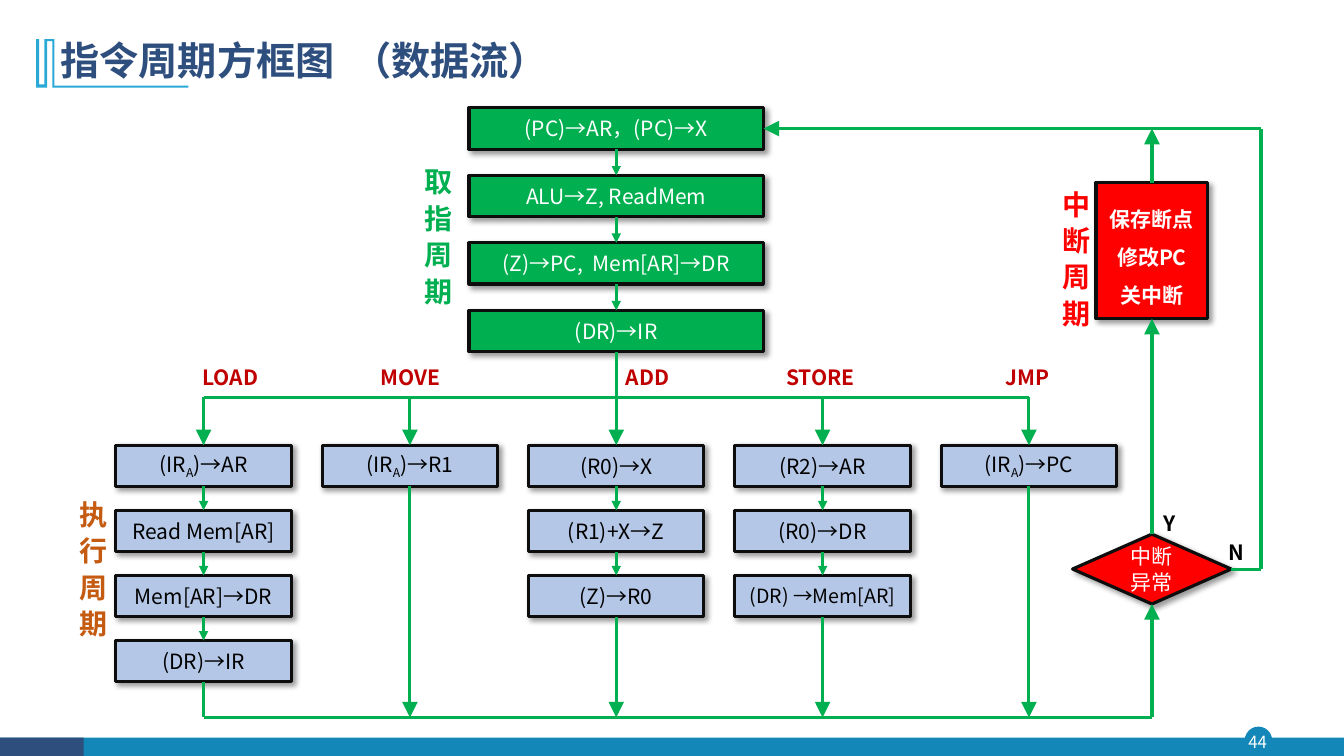
import pptx
import pptx.util
import pptx.dml.color
import pptx.enum.shapes
import pptx.enum.text
import pptx.oxml
import pptx.oxml.ns

Cm, Pt = pptx.util.Cm, pptx.util.Pt
Kind = pptx.enum.shapes.MSO_SHAPE
Side = pptx.enum.text.PP_ALIGN
Mid = pptx.enum.text.MSO_ANCHOR.MIDDLE
FACE = "Noto Sans CJK SC"
GREEN, BLUE, RED, WHITE, BLACK = "00B050", "B4C7E7", "FF0000", "FFFFFF", "000000"
TEAL, NAVY = "1387B7", "2E4E7E"
TOP, BASE, RIGHT = 0, 2, 3


def ink(code):
    return pptx.dml.color.RGBColor.from_string(code)


def add_xml(home, body):
    head, rest = body.split(" ", 1) if " " in body else (body[:-2], "/>")
    home.append(pptx.oxml.parse_xml(f"{head} {pptx.oxml.ns.nsdecls('a')} {rest}"))


def write(frame, lines, size, color, bold=False, side=Side.CENTER, lead=None, gap=None):
    """Fill a text frame; in each line, every second part between bars is a subscript."""
    for i, line in enumerate(lines):
        para = frame.paragraphs[0] if i == 0 else frame.add_paragraph()
        para.alignment = side
        if lead:
            para.line_spacing = lead
        for j, part in enumerate(line.split("|")):
            run = para.add_run()
            run.text = part
            font = run.font
            font.name, font.size, font.bold = FACE, Pt(size), bold
            font.color.rgb = ink(color)
            props = run._r.get_or_add_rPr()
            add_xml(props, f'<a:ea typeface="{FACE}"/>')
            if j % 2:
                props.set("baseline", "-25000")
            if gap:
                props.set("spc", str(gap * 100))


def block(page, kind, box, fill):
    shape = page.shapes.add_shape(kind, *map(Cm, box))
    shape.shadow.inherit = False
    shape.fill.solid()
    shape.fill.fore_color.rgb = ink(fill)
    shape.line.fill.background()
    return shape


def card(page, box, lines, fill, color, size=15, kind=Kind.RECTANGLE, **style):
    """Add an outlined box with a soft shadow and centred text."""
    shape = block(page, kind, box, fill)
    shape.line.color.rgb = ink("0D0D0D")
    shape.line.width = Pt(2.25)
    effects = shape._element.spPr.find(pptx.oxml.ns.qn("a:effectLst"))
    add_xml(effects, '<a:outerShdw blurRad="50800" dist="38100" dir="2700000" algn="tl" '
            'rotWithShape="0"><a:srgbClr val="000000"><a:alpha val="40000"/>'
            '</a:srgbClr></a:outerShdw>')
    shape.text_frame.vertical_anchor = Mid
    write(shape.text_frame, lines, size, color, **style)
    return shape


def label(page, box, text, color):
    frame = page.shapes.add_textbox(*map(Cm, box)).text_frame
    frame.word_wrap = True
    write(frame, [text], 15, color, bold=True, side=Side.LEFT)


def phase(page, x, y, text, color):
    """Add the upright name of a cycle."""
    frame = page.shapes.add_textbox(Cm(x), Cm(y), Cm(1.37), Cm(3.96)).text_frame
    frame.word_wrap = False
    frame._txBody.bodyPr.set("vert", "eaVert")
    write(frame, [text], 20, color, bold=True, side=Side.LEFT, gap=6)


def wire(page, start, end, head=None):
    """Draw a line between two ends, each an (x, y) point or a (shape, site) pair."""
    spots = [None if hasattr(a, "shape_id") else (Cm(a), Cm(b)) for a, b in (start, end)]
    first, last = (spot or (0, 0) for spot in spots)
    line = page.shapes.add_connector(
        pptx.enum.shapes.MSO_CONNECTOR.STRAIGHT, *first, *last)
    if not spots[0]:
        line.begin_connect(*start)
    if not spots[1]:
        line.end_connect(*end)
    line.line.color.rgb = ink(GREEN)
    line.line.width = Pt(2.25)
    if head:
        add_xml(line.line._get_or_add_ln(),
                f'<a:tailEnd type="triangle" w="{head}" len="{head}"/>')
    add_xml(line._element.spPr, "<a:effectLst/>")


def stack(page, box, step, texts, fill, color):
    """Pile cards downward from the first box and join them with arrows."""
    x, y, w, h = box
    cards = []
    for i, text in enumerate(texts):
        size = 14 if text == "(DR) →Mem[AR]" else 15
        cards.append(card(page, (x, y + i * step, w, h), [text], fill, color, size))
    for above, below in zip(cards, cards[1:]):
        wire(page, (above, BASE), (below, TOP), "med")
    return cards


def footer(page, box):
    x, y, w, h = box
    block(page, Kind.OVAL, (x + 31.37, y - 0.28, 0.69, 0.69), TEAL)
    block(page, Kind.RECTANGLE, box, TEAL)
    block(page, Kind.RECTANGLE, (x, y, 2.11, h), NAVY)
    frame = page.shapes.add_textbox(
        Cm(x + 31.29), Cm(y - 0.28), Cm(0.81), Cm(0.79)).text_frame
    frame.margin_left = frame.margin_right = frame.margin_top = frame.margin_bottom = 0
    frame.vertical_anchor = Mid
    write(frame, ["44"], 12, WHITE)


def header(page, box):
    x, y, w, h = box
    marks = [(0.1, 0.28), (0.1, 1.45), (3.48, 1.45), (3.48, 1.5), (0.05, 1.5),
             (0.05, 0.33), (-0.08, 0.33), (-0.08, 1.5), (-0.36, 1.5), (-0.36, 0.28),
             (-0.28, 0.28), (-0.28, 1.42), (-0.15, 1.42), (-0.15, 0.28)]
    (first, *rest) = [(Cm(x + a), Cm(y + b)) for a, b in marks]
    pen = page.shapes.build_freeform(*first)
    pen.add_line_segments(rest, close=True)
    mark = pen.convert_to_shape()
    mark.shadow.inherit = False
    mark.fill.solid()
    mark.fill.fore_color.rgb = ink("28A9D6")
    mark.line.fill.background()
    title = page.shapes.title
    title.left, title.top, title.width, title.height = map(Cm, box)
    frame = title.text_frame
    frame.auto_size = pptx.enum.text.MSO_AUTO_SIZE.NONE
    frame.vertical_anchor = Mid
    write(frame, ["指令周期方框图  （数据流）"], 28, NAVY, bold=True, side=Side.LEFT, lead=0.9)


def fetch(page, box):
    x, y, w, h = box
    phase(page, x - 1.61, y + 1.27, "取指周期", GREEN)
    steps = ["(PC)→AR，(PC)→X", "ALU→Z, ReadMem", "(Z)→PC,  Mem[AR]→DR", "(DR)→IR"]
    return stack(page, (x, y, w, 1.04), 1.7, steps, GREEN, WHITE)


def execute(page, box, source):
    """Draw the five instruction columns between the upper and lower rails."""
    x, y, w, h = box
    wide, step, floor = 4.42, 5.2, y + h
    columns = [
        ("LOAD", 4.85, ["(IR|A|)→AR", "Read Mem[AR]", "Mem[AR]→DR", "(DR)→IR"]),
        ("MOVE", 9.35, ["(IR|A|)→R1"]),
        ("ADD", 15.52, ["(R0)→X", "(R1)+X→Z", "(Z)→R0"]),
        ("STORE", 19.56, ["(R2)→AR", "(R0)→DR", "(DR) →Mem[AR]"]),
        ("JMP", 25.1, ["(IR|A|)→PC"])]
    mids = [x + wide / 2 + i * step for i in range(len(columns))]
    wire(page, (mids[0], y), (mids[-1], y))
    wire(page, (source, BASE), (mids[2], y))
    wire(page, (mids[0], floor), (x + w, floor))
    for mid, (name, left, steps) in zip(mids, columns):
        label(page, (left, y - 0.94, 2.8, 0.84), name, "C00000")
        cards = stack(page, (mid - wide / 2, y + 1.21, wide, 1.04), 1.64, steps, BLUE, BLACK)
        wire(page, (mid, y), (cards[0], TOP), "lg")
        wire(page, (cards[-1], BASE), (mid, floor), None if name == "LOAD" else "lg")
    phase(page, x - 1.4, y + 2.36, "执行周期", "C55A11")


def trap(page, box, target):
    """Draw the interrupt test and its two ways back to the target card."""
    x, y, w, h = box
    mid, edge = x + 2, x + w
    save = card(page, (mid - 1.41, y + 1.36, 2.82, 3.43), ["保存断点", "修改PC", "关中断"],
                RED, WHITE, bold=True, lead=1.5)
    test = card(page, (x, y + 10.22, 4, 1.76), ["中断异常"], RED, WHITE,
                kind=Kind.FLOWCHART_DECISION)
    phase(page, mid - 2.74, y + 1.31, "中断周期", RED)
    label(page, (mid + 0.05, y + 9.49, 0.88, 0.89), "Y", BLACK)
    label(page, (mid + 1.68, y + 10.22, 0.88, 0.89), "N", BLACK)
    wire(page, (mid, y + h), (test, BASE), "lg")
    wire(page, (test, TOP), (save, BASE), "lg")
    wire(page, (save, TOP), (mid, y), "lg")
    wire(page, (test, RIGHT), (edge, y + 11.1))
    wire(page, (edge, y + 11.1), (edge, y))
    wire(page, (edge, y), (target, RIGHT), "lg")


def main():
    deck = pptx.Presentation()
    deck.slide_width, deck.slide_height = Cm(33.87), Cm(19.05)
    page = deck.slides.add_slide(deck.slide_layouts[5])
    footer(page, (0, 18.59, 33.87, 0.46))
    header(page, (1.27, 0.71, 29.21, 1.73))
    cards = fetch(page, (11.82, 2.72, 7.42, 6.14))
    execute(page, (2.92, 10.01, 26.11, 8.07), cards[-1])
    trap(page, (27.03, 3.24, 4.75, 14.84), cards[0])
    deck.save("out.pptx")


if __name__ == "__main__":
    main()
